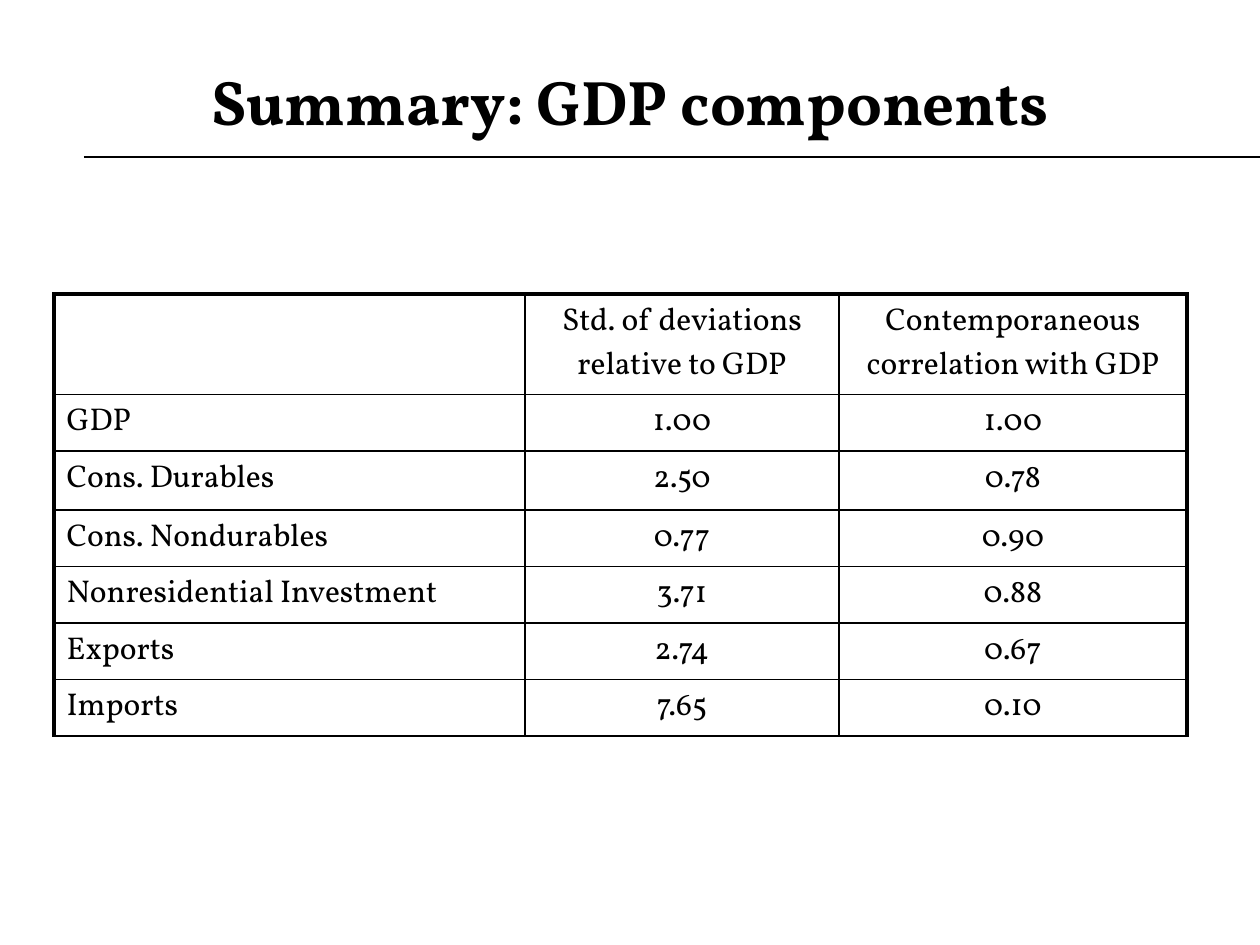
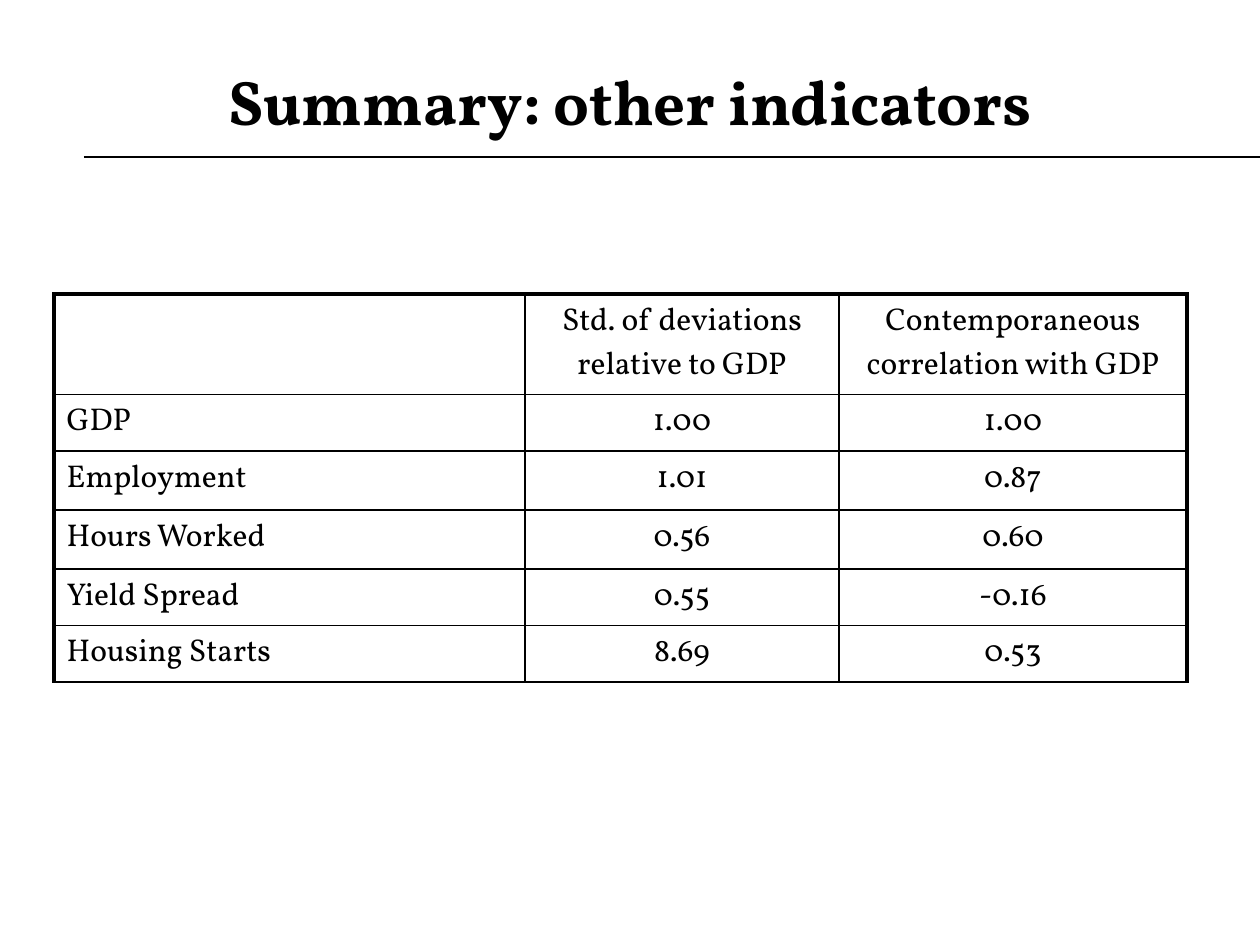
from lxml.etree import SubElement
from pptx import Presentation
from pptx.dml.color import RGBColor
from pptx.enum.shapes import MSO_CONNECTOR
from pptx.enum.text import MSO_ANCHOR, MSO_AUTO_SIZE, PP_ALIGN
from pptx.oxml.ns import qn
from pptx.util import Emu, Pt

HEADER = ("", "Std. of deviations relative to GDP", "Contemporaneous correlation with GDP")
SLIDES = [
    {
        "title": "Summary: GDP components",
        "rows": [
            ("GDP", "1.00", "1.00"),
            ("Cons. Durables", "2.50", "0.78"),
            ("Cons. Nondurables", "0.77", "0.90"),
            ("Nonresidential Investment", "3.71", "0.88"),
            ("Exports", "2.74", "0.67"),
            ("Imports", "7.65", "0.10"),
        ],
        "tall_rows": (2,),
    },
    {
        "title": "Summary: other indicators",
        "rows": [
            ("GDP", "1.00", "1.00"),
            ("Employment", "1.01", "0.87"),
            ("Hours Worked", "0.56", "0.60"),
            ("Yield Spread", "0.55", "-0.16"),
            ("Housing Starts", "8.69", "0.53"),
        ],
        "tall_rows": (2, 3),
    },
]

COLORS = {"text": "000000", "rule": "000000", "border": "000000"}
FONT = "Vollkorn"
SLIDE_W, SLIDE_H = 1260, 945
TITLE_BOX = (63, 42, 1134, 116)
RULE_LEFT, RULE_Y = 84, 157
TABLE_LEFT, TABLE_TOP = 54, 294
COL_WIDTHS = (471, 314, 348)
HEADER_H, ROW_H, TALL_ROW_H = 92, 53, 59
THIN, THICK = 1, 2.25


def px(n):
    return Emu(round(n * 914400 / 126))


def write(tf, text, size=18, bold=False, align=PP_ALIGN.LEFT):
    p = tf.paragraphs[0]
    p.alignment = align
    r = p.add_run()
    r.text = text
    r.font.name = FONT
    r.font.size = Pt(size)
    r.font.bold = bold
    r.font.color.rgb = RGBColor.from_string(COLORS["text"])


def set_borders(cell, **widths):
    """Draw cell borders; widths maps L, R, T, B (in that order) to points."""
    tcPr = cell._tc.get_or_add_tcPr()
    for side, width in widths.items():
        ln = SubElement(tcPr, qn(f"a:ln{side}"), w=str(Pt(width)))
        fill = SubElement(ln, qn("a:solidFill"))
        SubElement(fill, qn("a:srgbClr"), val=COLORS["border"])


def add_title(slide, text):
    sp = slide.shapes.title
    sp.left, sp.top, sp.width, sp.height = map(px, TITLE_BOX)
    tf = sp.text_frame
    tf.auto_size = MSO_AUTO_SIZE.NONE
    tf.vertical_anchor = MSO_ANCHOR.MIDDLE
    write(tf, text, size=36, bold=True, align=PP_ALIGN.CENTER)


def add_rule(slide):
    line = slide.shapes.add_connector(
        MSO_CONNECTOR.STRAIGHT, px(RULE_LEFT), px(RULE_Y), px(SLIDE_W), px(RULE_Y))
    line.line.color.rgb = RGBColor.from_string(COLORS["rule"])
    line.line.width = Pt(0.75)
    SubElement(line._element.spPr, qn("a:effectLst"))


def add_table(slide, rows, tall_rows):
    grid = [HEADER, *rows]
    heights = [HEADER_H] + [TALL_ROW_H if i in tall_rows else ROW_H
                            for i in range(1, len(grid))]
    table = slide.shapes.add_table(
        len(grid), len(COL_WIDTHS), px(TABLE_LEFT), px(TABLE_TOP),
        px(sum(COL_WIDTHS)), px(sum(heights))).table
    table.first_row = table.horz_banding = False
    for col, width in zip(table.columns, COL_WIDTHS):
        col.width = px(width)
    last = len(COL_WIDTHS) - 1
    for i, (values, height) in enumerate(zip(grid, heights)):
        table.rows[i].height = px(height)
        for j, value in enumerate(values):
            cell = table.cell(i, j)
            set_borders(cell, L=THICK if j == 0 else THIN, R=THICK if j == last else THIN,
                        T=THICK if i == 0 else THIN, B=THIN)
            cell.fill.background()
            if value:
                write(cell.text_frame, value,
                      align=PP_ALIGN.CENTER if j else PP_ALIGN.LEFT)


def main():
    prs = Presentation()
    prs.slide_width, prs.slide_height = px(SLIDE_W), px(SLIDE_H)
    title_only = prs.slide_layouts[5]
    for content in SLIDES:
        slide = prs.slides.add_slide(title_only)
        add_rule(slide)
        add_title(slide, content["title"])
        add_table(slide, content["rows"], content["tall_rows"])
    prs.save("out.pptx")


if __name__ == "__main__":
    main()
